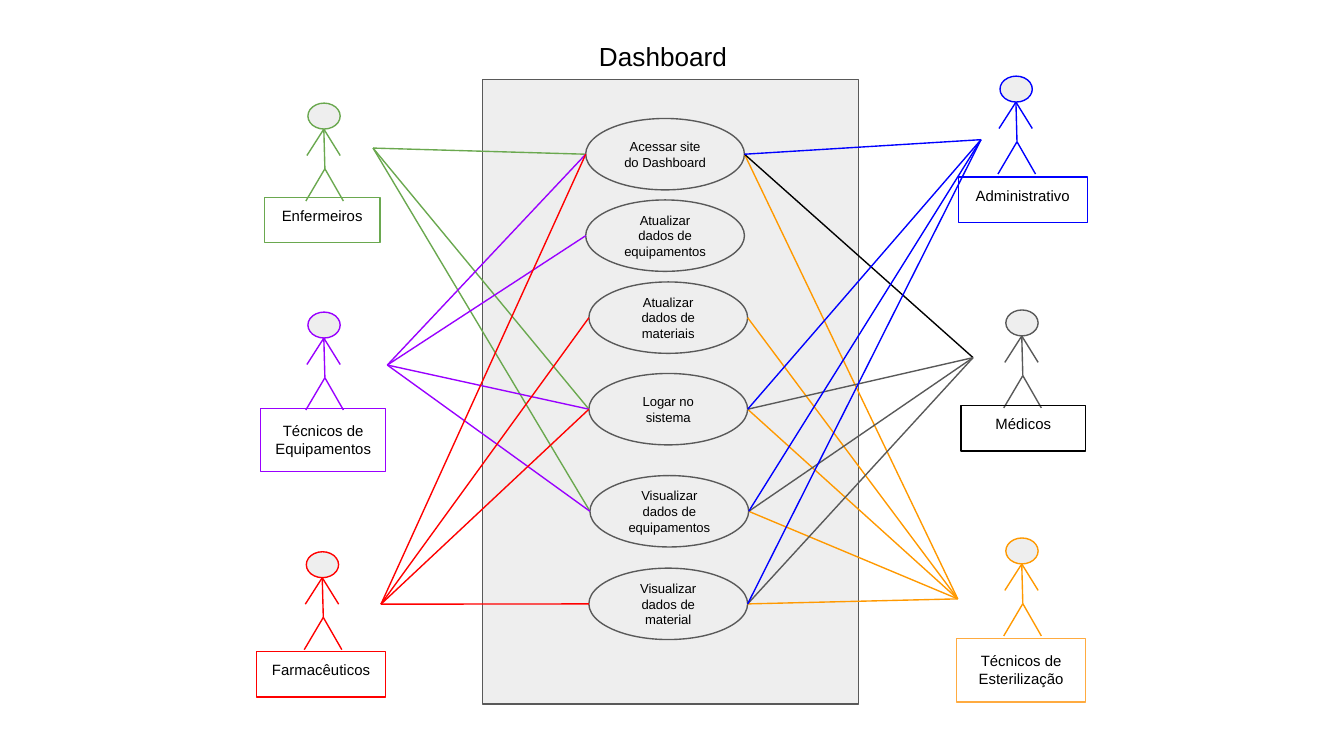
import pptx
import pptx.util
import pptx.dml.color
import pptx.enum.shapes
import pptx.enum.text
import pptx.oxml.ns
import lxml.etree

Cm = pptx.util.Cm
SHAPE = pptx.enum.shapes.MSO_SHAPE
ALIGN = pptx.enum.text.PP_ALIGN
ANCHOR = pptx.enum.text.MSO_ANCHOR
FIT = pptx.enum.text.MSO_AUTO_SIZE


def color(value):
    return pptx.dml.color.RGBColor.from_string(value)


class Diagram:
    font = "Arial"
    ink = "000000"
    gray = "595959"
    light = "EEEEEE"
    weight = pptx.util.Pt(0.75)
    inset = Cm(0.25)

    def __init__(self, slide):
        self.s = slide

    def add_text(self, sp, text, size, align=ALIGN.CENTER, anchor=ANCHOR.TOP, fit=FIT.NONE):
        tf = sp.text_frame
        frame = {"word_wrap": True, "auto_size": fit, "vertical_anchor": anchor}
        frame.update({"margin_" + side: self.inset for side in ("left", "top", "right", "bottom")})
        for name, value in frame.items():
            setattr(tf, name, value)
        p = tf.paragraphs[0]
        p.alignment = align
        r = p.add_run()
        r.text = text
        for name, value in {"name": self.font, "size": pptx.util.Pt(size), "bold": False}.items():
            setattr(r.font, name, value)
        r.font.color.rgb = color(self.ink)

    def title(self, text, left, top, width, height):
        sp = self.s.shapes.title
        place = {"left": left, "top": top, "width": width, "height": height}
        for name, value in place.items():
            setattr(sp, name, Cm(value))
        self.add_text(sp, text, 14, ALIGN.LEFT)

    def shape(self, kind, box, line, fill=None):
        sp = self.s.shapes.add_shape(kind, *map(Cm, box))
        sp.shadow.inherit = False
        if fill:
            sp.fill.solid()
            sp.fill.fore_color.rgb = color(fill)
        else:
            sp.fill.background()
        sp.line.color.rgb = color(line)
        sp.line.width = self.weight
        return sp

    def line(self, start, end, value):
        c = self.s.shapes.add_connector(
            pptx.enum.shapes.MSO_CONNECTOR.STRAIGHT, *map(Cm, (*start, *end)))
        c.line.color.rgb = color(value)
        c.line.width = self.weight
        lxml.etree.SubElement(c._element.spPr, pptx.oxml.ns.qn("a:effectLst"))

    def use_case(self, text, left, top):
        sp = self.shape(SHAPE.OVAL, (left, top, CASE_W, CASE_H), self.gray, self.light)
        self.add_text(sp, text, 7, anchor=ANCHOR.MIDDLE)

    def actor(self, x, y, value):
        self.shape(SHAPE.OVAL, (x, y, 0.61, 0.49), value, self.light)
        neck, hip = (x + 0.3, y + 0.49), (x + 0.32, y + 1.24)
        self.line(neck, hip, value)
        for dx in (-0.04, 0.67):
            self.line(hip, (x + dx, y + 1.85), value)
        for dx in (-0.02, 0.61):
            self.line(neck, (x + dx, y + 0.99), value)

    def label(self, text, box, value):
        sp = self.shape(SHAPE.RECTANGLE, box, value)
        self.add_text(sp, text, 8, fit=FIT.SHAPE_TO_FIT_TEXT)


CASE_W, CASE_H = 3, 1.35
cases = [
    ("Acessar site do Dashboard", 11.07, 2.24),
    ("Atualizar dados de equipamentos", 11.07, 3.78),
    ("Atualizar dados de materiais", 11.13, 5.33),
    ("Logar no sistema", 11.13, 7.06),
    ("Visualizar dados de equipamentos", 11.15, 8.99),
    ("Visualizar dados de material", 11.13, 10.74),
]
actors = [
    ("Enfermeiros", "6AA84F", "6AA84F", (5.82, 1.95), (5, 3.73, 2.18, 0.86), (7.05, 2.8), (0, 3, 4)),
    ("Técnicos de Equipamentos", "9900FF", "9900FF", (5.82, 5.9), (4.93, 7.72, 2.36, 1.2),
     (7.32, 6.9), (0, 1, 3, 4)),
    ("Farmacêuticos", "FF0000", "FF0000", (5.79, 10.43), (4.85, 12.32, 2.44, 0.86),
     (7.2, 11.42), (0, 2, 3, 5)),
    ("Técnicos de Esterilização", "FF9900", "FFAB40", (19.01, 10.17), (18.08, 12.07, 2.44, 1.2),
     (18.1, 11.32), (0, 2, 3, 4, 5)),
    ("Médicos", "595959", "000000", (19.01, 5.86), (18.16, 7.67, 2.36, 0.86),
     (18.39, 6.76), (0, 3, 4, 5)),
    ("Administrativo", "0000FF", "0000FF", (18.9, 1.44), (18.11, 3.35, 2.44, 0.86),
     (18.54, 2.64), (0, 3, 4, 5)),
]
special_links = {("Médicos", 0): "000000"}

prs = pptx.Presentation()
prs.slide_width, prs.slide_height = Cm(25.4), Cm(14.29)
d = Diagram(prs.slides.add_slide(prs.slide_layouts[5]))

d.title("Dashboard", 11.07, 0.51, 3, 1.12)
d.shape(SHAPE.RECTANGLE, (9.12, 1.5, 7.11, 11.81), d.gray, d.light)
for case in cases:
    d.use_case(*case)
for name, value, border, head, box, hub, used in actors:
    d.actor(*head, value)
    d.label(name, box, border)
    for i in used:
        text, left, top = cases[i]
        edge = left if hub[0] < left else left + CASE_W
        d.line(hub, (edge, top + CASE_H / 2), special_links.get((name, i), value))

prs.save("out.pptx")
